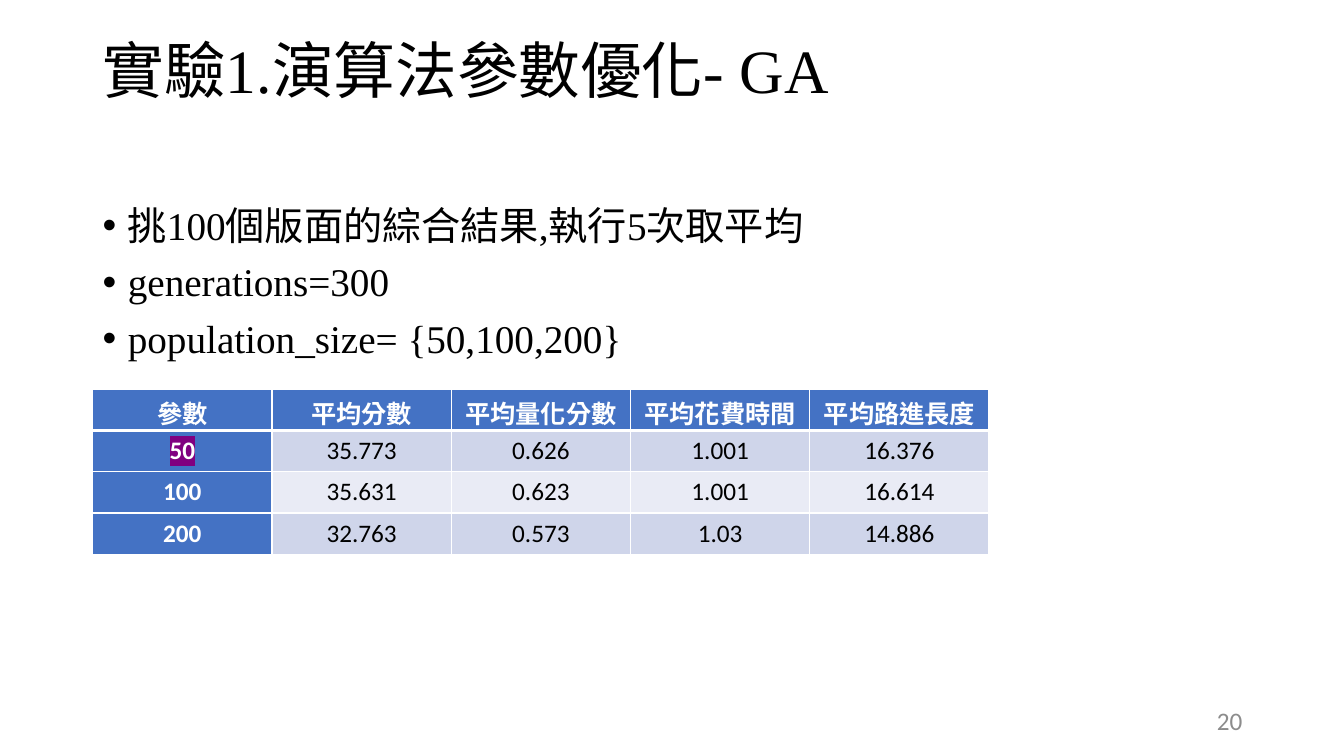
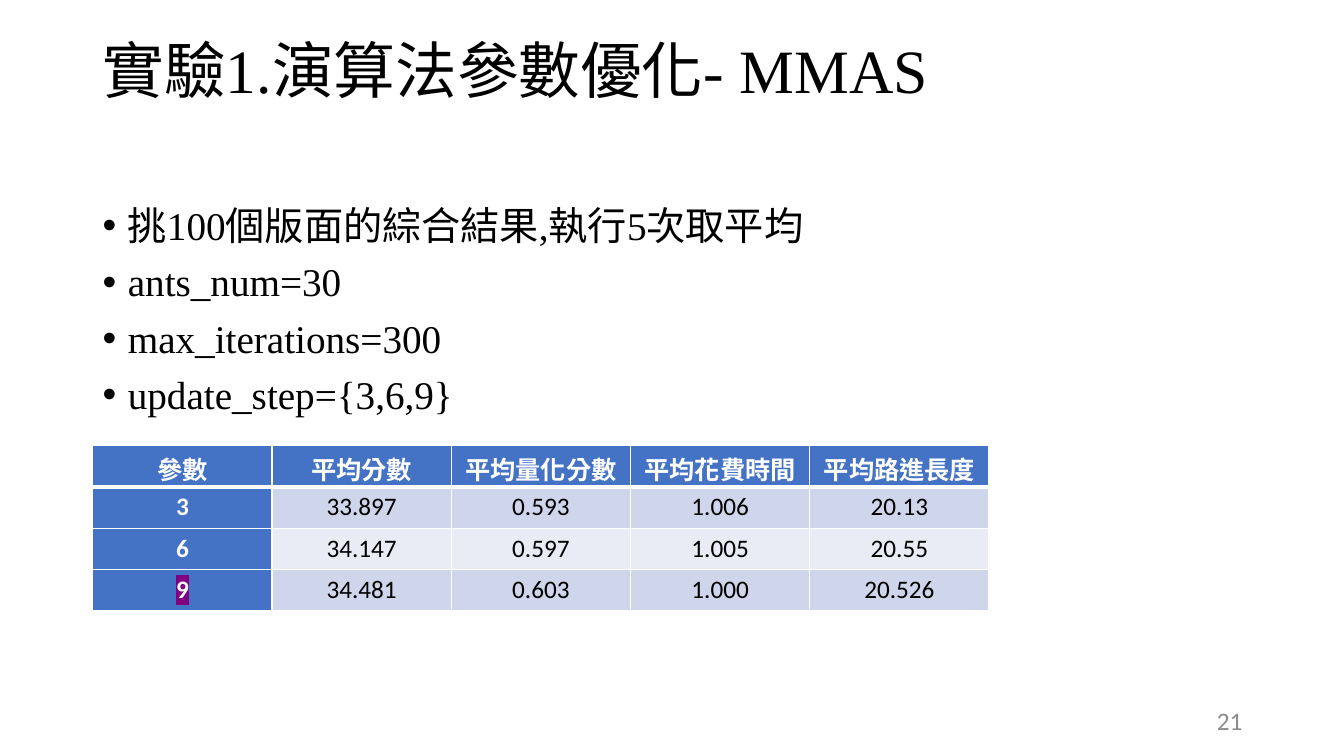
import lxml.etree
import pptx
import pptx.dml.color
import pptx.enum.lang
import pptx.enum.text
import pptx.oxml.ns
import pptx.util

Inches = pptx.util.Inches
Pt = pptx.util.Pt
qn = pptx.oxml.ns.qn
PP_ALIGN = pptx.enum.text.PP_ALIGN
MSO_ANCHOR = pptx.enum.text.MSO_ANCHOR

COLORS = {
    "text": "000000",
    "white": "FFFFFF",
    "header": "4472C4",
    "band_dark": "CFD5EA",
    "band_light": "E9EBF5",
    "best": "800080",
    "number": "8C8C8C",
}
SERIF, SANS = "Times New Roman", "Calibri"

# Shared regions: left, top, width, height
TITLE_BOX = (0.92, 0.33, 11.5, 0.8)
BODY_BOX = (0.92, 2, 11.5, 4.76)
NUMBER_BOX = (9.42, 6.95, 3, 0.4)
TABLE_LEFT, TABLE_WIDTH, ROW_HEIGHT = 0.92, 8.89, 0.41

HEADERS = ["參數", "平均分數", "平均量化分數", "平均花費時間", "平均路進長度"]
SAMPLE_NOTE = "挑100個版面的綜合結果,執行5次取平均"

SLIDES = [
    {
        "title": "實驗1.演算法參數優化- GA",
        "bullets": [SAMPLE_NOTE, "generations=300", "population_size= {50,100,200}"],
        "number": "20",
        "table_top": 3.86,
        "best": "50",
        "rows": [
            ["50", "35.773", "0.626", "1.001", "16.376"],
            ["100", "35.631", "0.623", "1.001", "16.614"],
            ["200", "32.763", "0.573", "1.03", "14.886"],
        ],
    },
    {
        "title": "實驗1.演算法參數優化- MMAS",
        "bullets": [SAMPLE_NOTE, "ants_num=30", "max_iterations=300", "update_step={3,6,9}"],
        "number": "21",
        "table_top": 4.42,
        "best": "9",
        "rows": [
            ["3", "33.897", "0.593", "1.006", "20.13"],
            ["6", "34.147", "0.597", "1.005", "20.55"],
            ["9", "34.481", "0.603", "1.000", "20.526"],
        ],
    },
]


def rgb(name):
    return pptx.dml.color.RGBColor.from_string(COLORS[name])


def solid_fill(parent, tag, color):
    """Append a DrawingML element holding a plain colour."""
    el = lxml.etree.SubElement(parent, qn(tag))
    lxml.etree.SubElement(el, qn("a:srgbClr"), val=COLORS[color])
    return el


def write(p, text, size=18, font=SANS, color="text", bold=False,
          align=None, line=None, before=None, highlight=None):
    """Put formatted text into a paragraph."""
    p.alignment = align
    p.line_spacing = line
    if before is not None:
        p.space_before = Pt(before)
    r = p.add_run()
    r.text = text
    r.font.size = Pt(size)
    r.font.bold = bold
    r.font.color.rgb = rgb(color)
    r.font.language_id = pptx.enum.lang.MSO_LANGUAGE_ID.TRADITIONAL_CHINESE
    if highlight:
        solid_fill(r.font.fill._xPr, "a:highlight", highlight)
    r.font.name = font


def add_bullet(p):
    """Give a paragraph a hanging round bullet."""
    pPr = p._p.get_or_add_pPr()
    pPr.set("marL", str(Inches(0.25)))
    pPr.set("indent", str(-Inches(0.25)))
    lxml.etree.SubElement(pPr, qn("a:buFont"), typeface="Arial")
    lxml.etree.SubElement(pPr, qn("a:buChar"), char="•")


def add_box(s, box, anchor):
    sp = s.shapes.add_textbox(*map(Inches, box))
    tf = sp.text_frame
    tf.word_wrap = True
    tf.vertical_anchor = anchor
    return tf


def add_title(s, box, text):
    tf = add_box(s, box, MSO_ANCHOR.MIDDLE)
    write(tf.paragraphs[0], text, size=44, font=SERIF, line=0.9)


def add_bullets(s, box, items):
    tf = add_box(s, box, MSO_ANCHOR.TOP)
    for i, item in enumerate(items):
        p = tf.add_paragraph() if i else tf.paragraphs[0]
        write(p, item, size=28, font=SERIF, line=0.9, before=10)
        add_bullet(p)


def add_number(s, box, text):
    tf = add_box(s, box, MSO_ANCHOR.MIDDLE)
    write(tf.paragraphs[0], text, color="number", align=PP_ALIGN.RIGHT)


def set_borders(cell, top, bottom):
    """White rules round a cell; widths in points."""
    tcPr = cell._tc.get_or_add_tcPr()
    for side, width in (("L", 1), ("R", 1), ("T", top), ("B", bottom)):
        ln = lxml.etree.SubElement(tcPr, qn("a:ln" + side), w=str(Pt(width)))
        solid_fill(ln, "a:solidFill", "white")


def add_results(s, box, rows, best):
    """Table with a header row, a header column and banded values."""
    tbl = s.shapes.add_table(len(rows), len(rows[0]), *map(Inches, box)).table
    tbl.horz_banding = False
    for col in tbl.columns:
        col.width = Inches(box[2] / len(rows[0]))
    for i, row in enumerate(rows):
        tbl.rows[i].height = Inches(box[3] / len(rows))
        for j, text in enumerate(row):
            cell = tbl.cell(i, j)
            is_header = i == 0 or j == 0
            band = "band_dark" if i % 2 else "band_light"
            # Heavier rule between the header row and the values
            set_borders(cell, top=3 if i == 1 else 1, bottom=3 if i == 0 else 1)
            cell.fill.solid()
            cell.fill.fore_color.rgb = rgb("header" if is_header else band)
            write(cell.text_frame.paragraphs[0], text, bold=is_header,
                  color="white" if is_header else "text", align=PP_ALIGN.CENTER,
                  highlight="best" if j == 0 and text == best else None)


def add_experiment(prs, data):
    s = prs.slides.add_slide(prs.slide_layouts[6])
    rows = [HEADERS] + data["rows"]
    add_title(s, TITLE_BOX, data["title"])
    add_bullets(s, BODY_BOX, data["bullets"])
    add_number(s, NUMBER_BOX, data["number"])
    table_box = (TABLE_LEFT, data["table_top"], TABLE_WIDTH, ROW_HEIGHT * len(rows))
    add_results(s, table_box, rows, data["best"])


def main():
    prs = pptx.Presentation()
    prs.slide_width, prs.slide_height = Inches(13.33), Inches(7.5)
    for data in SLIDES:
        add_experiment(prs, data)
    prs.save("out.pptx")


if __name__ == "__main__":
    main()
